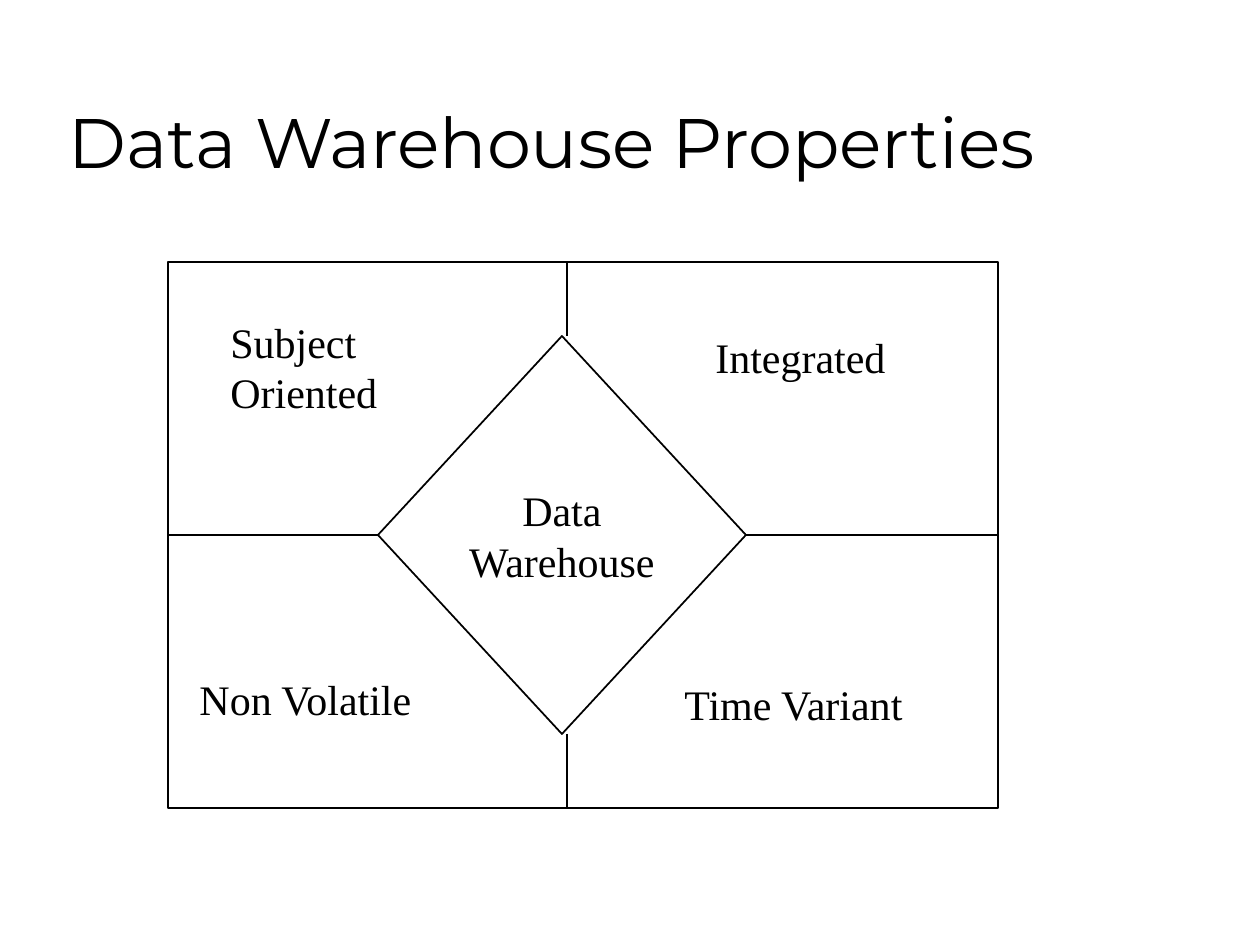
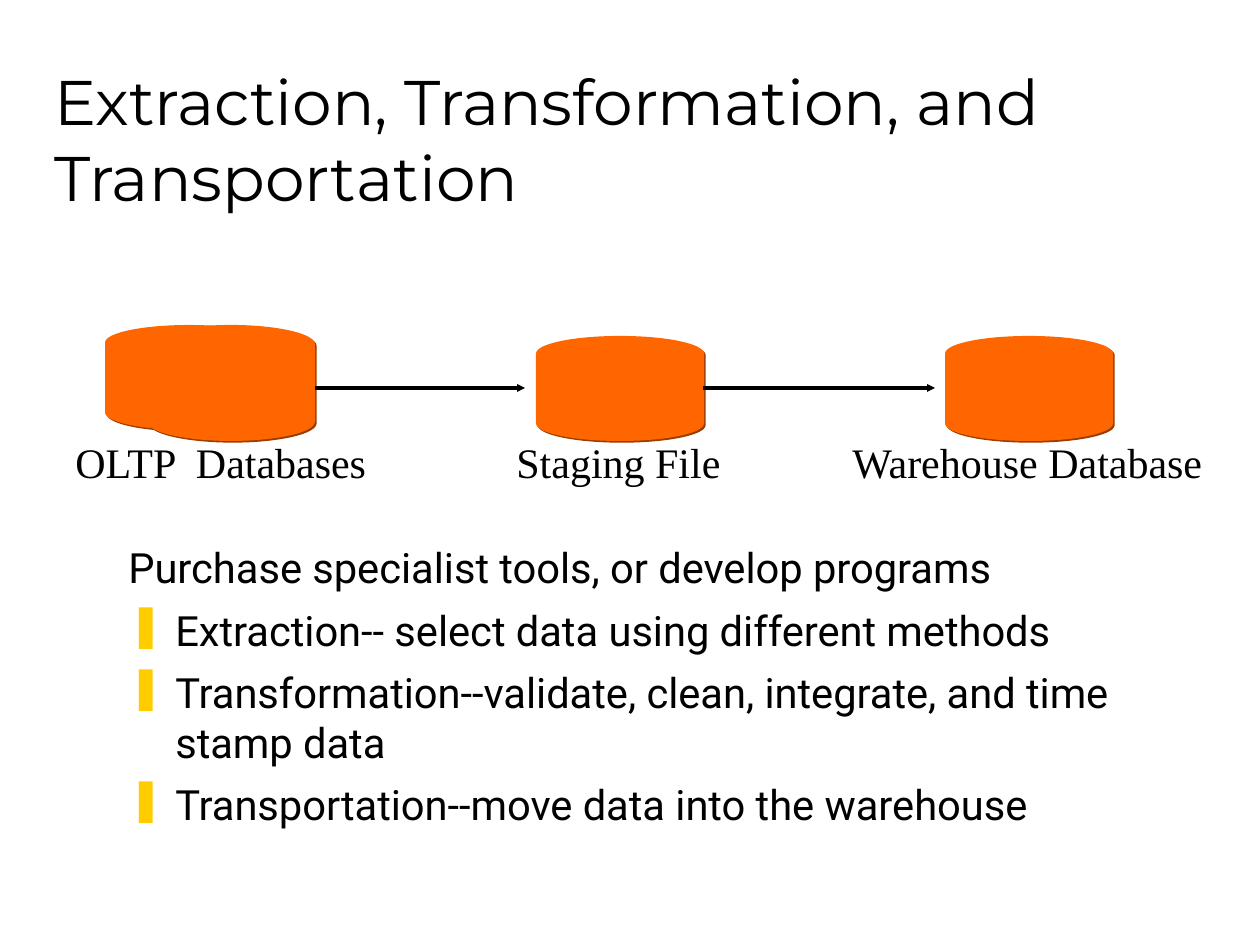
from lxml import etree
from pptx import Presentation
from pptx import util as u
from pptx.dml import color
from pptx.enum import shapes, text
from pptx.oxml import ns

HUES = {"ink": "000000", "disk": "FF6600", "shade": "993D00", "mark": "FFCC00"}
FONTS = {"title": "Montserrat", "body": "Roboto", "label": "Times New Roman"}
LABEL = 24
HANG = 47
LINE = 63
BULLET = "❚"


def px(n):
    """Turn pixels, 126 to the inch, into EMU."""
    return u.Emu(round(n * 914400 / 126))


def rgb(name):
    """Look up a named colour."""
    return color.RGBColor.from_string(HUES[name])


def sub(node, tag, **attrs):
    """Append a drawing element to an XML node."""
    return etree.SubElement(node, ns.qn(tag), **attrs)


def write(frame, lines, font="label", size=LABEL, align=text.PP_ALIGN.LEFT,
          anchor=text.MSO_ANCHOR.TOP, wrap=False, grow=False, gap=0, foot=6):
    """Fill a text frame with one paragraph per line."""
    frame.word_wrap = wrap
    frame.auto_size = (text.MSO_AUTO_SIZE.SHAPE_TO_FIT_TEXT if grow
                       else text.MSO_AUTO_SIZE.NONE)
    frame.vertical_anchor = anchor
    frame.margin_bottom = px(foot)
    for i, line in enumerate(lines):
        para = frame.add_paragraph() if i else frame.paragraphs[0]
        para.alignment = align
        para.space_before = u.Pt(gap)
        run = para.add_run()
        run.text = line
        run.font.name = FONTS[font]
        run.font.size = u.Pt(size)
        run.font.color.rgb = rgb("ink")


def label(slide, left, top, width, lines):
    """Place a diagram label that grows with its text."""
    height = 50 * len(lines) + 13
    box = slide.shapes.add_textbox(px(left), px(top), px(width), px(height))
    write(box.text_frame, lines, grow=True)


def title(slide, left, top, words, size):
    """Place a slide title, set on the foot of its box."""
    box = slide.shapes.add_textbox(px(left), px(top), px(1071), px(158))
    write(box.text_frame, [words], font="title", size=size, wrap=True,
          anchor=text.MSO_ANCHOR.BOTTOM, foot=7)


def link(slide, start, end, width=1, arrow=False):
    """Draw a straight line between two points."""
    line = slide.shapes.add_connector(
        shapes.MSO_CONNECTOR.STRAIGHT, *map(px, start + end))
    line.line.color.rgb = rgb("ink")
    line.line.width = u.Pt(width)
    if arrow:
        sub(line.line._get_or_add_ln(), "a:tailEnd", type="triangle",
            w="sm", len="sm")
    sub(line._element.spPr, "a:effectLst")
    return line


def frame(slide, kind, left, top, width, height):
    """Draw an unfilled outlined shape."""
    shape = slide.shapes.add_shape(kind, px(left), px(top), px(width), px(height))
    shape.shadow.inherit = False
    shape.fill.background()
    shape.line.color.rgb = rgb("ink")
    shape.line.width = u.Pt(1)
    return shape


def quad(slide, left, top, width, height):
    """Draw four labelled quarters around a central diamond."""
    rect = frame(slide, shapes.MSO_SHAPE.RECTANGLE, left, top, width, height)
    inset = 74
    gem = frame(slide, shapes.MSO_SHAPE.FLOWCHART_DECISION,
                left + 210, top + inset, 368, height - 2 * inset)
    write(gem.text_frame, ["Data", "Warehouse"], align=text.PP_ALIGN.CENTER,
          anchor=text.MSO_ANCHOR.MIDDLE)
    mid = top + height // 2
    for side, near, far in ((3, left + 578, left + width), (1, left + 210, left)):
        line = link(slide, (near, mid), (far, mid))
        line.begin_connect(gem, side)
        line.end_connect(rect, side)
    axis = left + 399
    for edge, tip in ((top, top + inset), (top + height, top + height - inset)):
        link(slide, (axis, tip), (axis, edge))
    for x, y, wide, lines in (
            (535, 63, 200, ["Integrated"]),
            (504, 410, 254, ["Time Variant"]),
            (19, 405, 248, ["Non Volatile"]),
            (50, 48, 190, ["Subject", "Oriented"])):
        label(slide, left + x, top + y, wide, lines)


def disk(slide, left, top, height=105):
    """Draw a database disk with a thin hard shadow."""
    shape = slide.shapes.add_shape(
        shapes.MSO_SHAPE.FLOWCHART_MAGNETIC_DISK,
        px(left), px(top), px(168), px(height))
    shape.fill.solid()
    shape.fill.fore_color.rgb = rgb("disk")
    shape.line.fill.background()
    shape.shadow.inherit = False
    effects = shape._element.spPr.find(ns.qn("a:effectLst"))
    shade = sub(effects, "a:outerShdw", blurRad="0", dist=str(u.Pt(1.4)),
                dir="2700000", algn="ctr", rotWithShape="0")
    sub(shade, "a:srgbClr", val=HUES["shade"])


def flow(slide, left, top):
    """Draw the path from source databases to the warehouse."""
    disk(slide, left + 42, top)
    disk(slide, left + 84, top, 116)
    for x in (473, 882):
        disk(slide, left + x, top + 11)
    for x, wide, words in ((0, 326, "OLTP  Databases"),
                           (441, 234, "Staging File"),
                           (777, 383, "Warehouse Database")):
        label(slide, left + x, top + 105, wide, [words])
    for start, end in ((252, 462), (640, 872)):
        link(slide, (left + start, top + LINE), (left + end, top + LINE),
             width=2.25, arrow=True)


def notes(slide, left, top, width, height, lines):
    """Place a lead line followed by bulleted points."""
    box = slide.shapes.add_textbox(px(left), px(top), px(width), px(height))
    write(box.text_frame, lines, font="body", size=23.8, wrap=True, gap=7)
    for i, para in enumerate(box.text_frame.paragraphs):
        props = para._p.get_or_add_pPr()
        props.set("marL", str(px(HANG)))
        props.set("indent", str(-px(HANG)))
        if i:
            tint = sub(props, "a:buClr")
            sub(tint, "a:srgbClr", val=HUES["mark"])
            sub(props, "a:buChar", char=BULLET)
        else:
            sub(props, "a:buNone")


def main():
    """Build and save both slides."""
    deck = Presentation()
    deck.slide_width, deck.slide_height = px(1260), px(945)
    blank = deck.slide_layouts[6]

    slide = deck.slides.add_slide(blank)
    title(slide, 56, 31, "Data Warehouse Properties", 40)
    quad(slide, 168, 262, 830, 546)

    slide = deck.slides.add_slide(blank)
    title(slide, 42, 63, "Extraction, Transformation, and Transportation", 36)
    notes(slide, 116, 536, 1071, 347, [
        "Purchase specialist tools, or develop programs",
        "Extraction-- select data using different methods",
        "Transformation--validate, clean, integrate, and time stamp data",
        "Transportation--move data into the warehouse"])
    flow(slide, 63, 325)

    deck.save("out.pptx")


if __name__ == "__main__":
    main()
